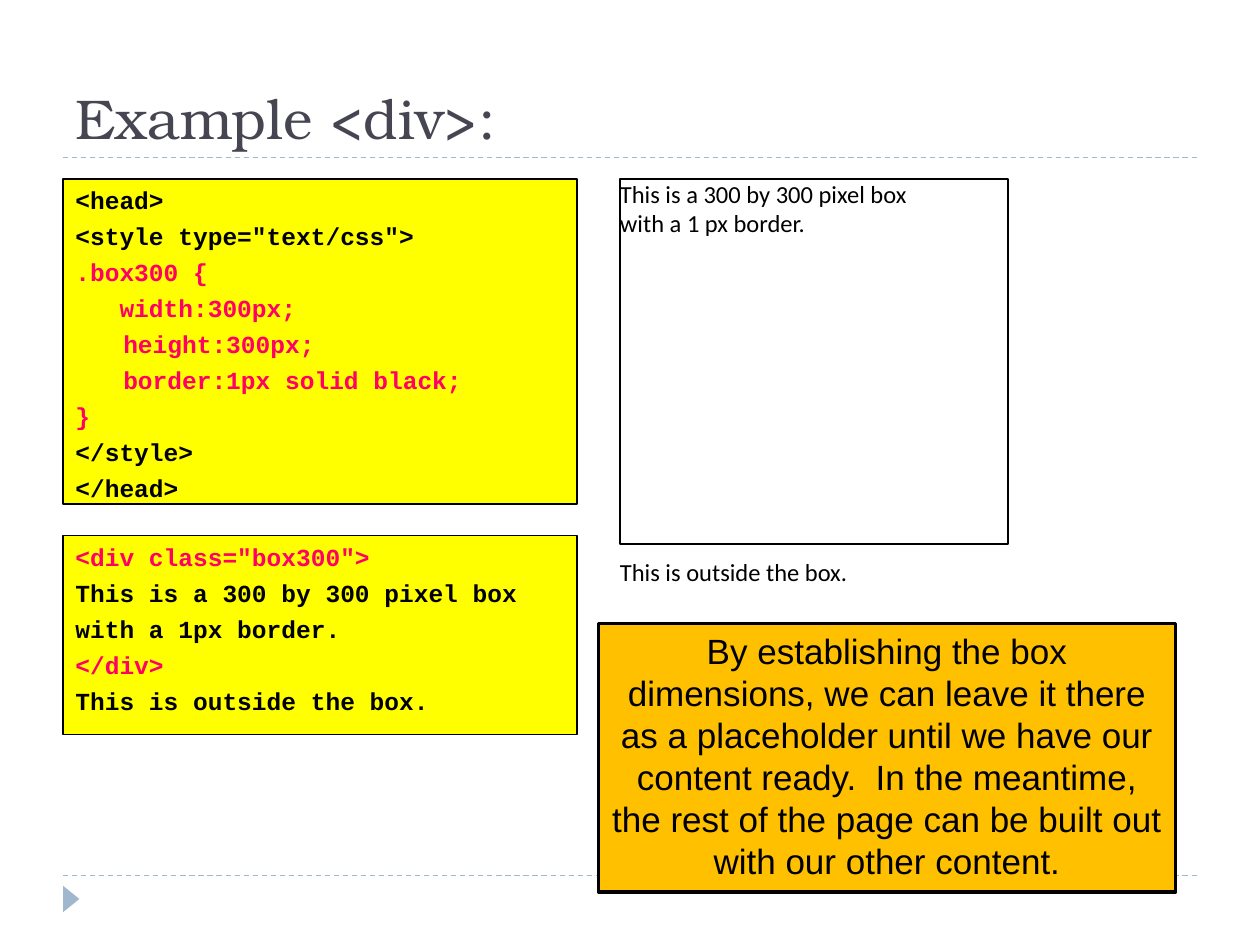
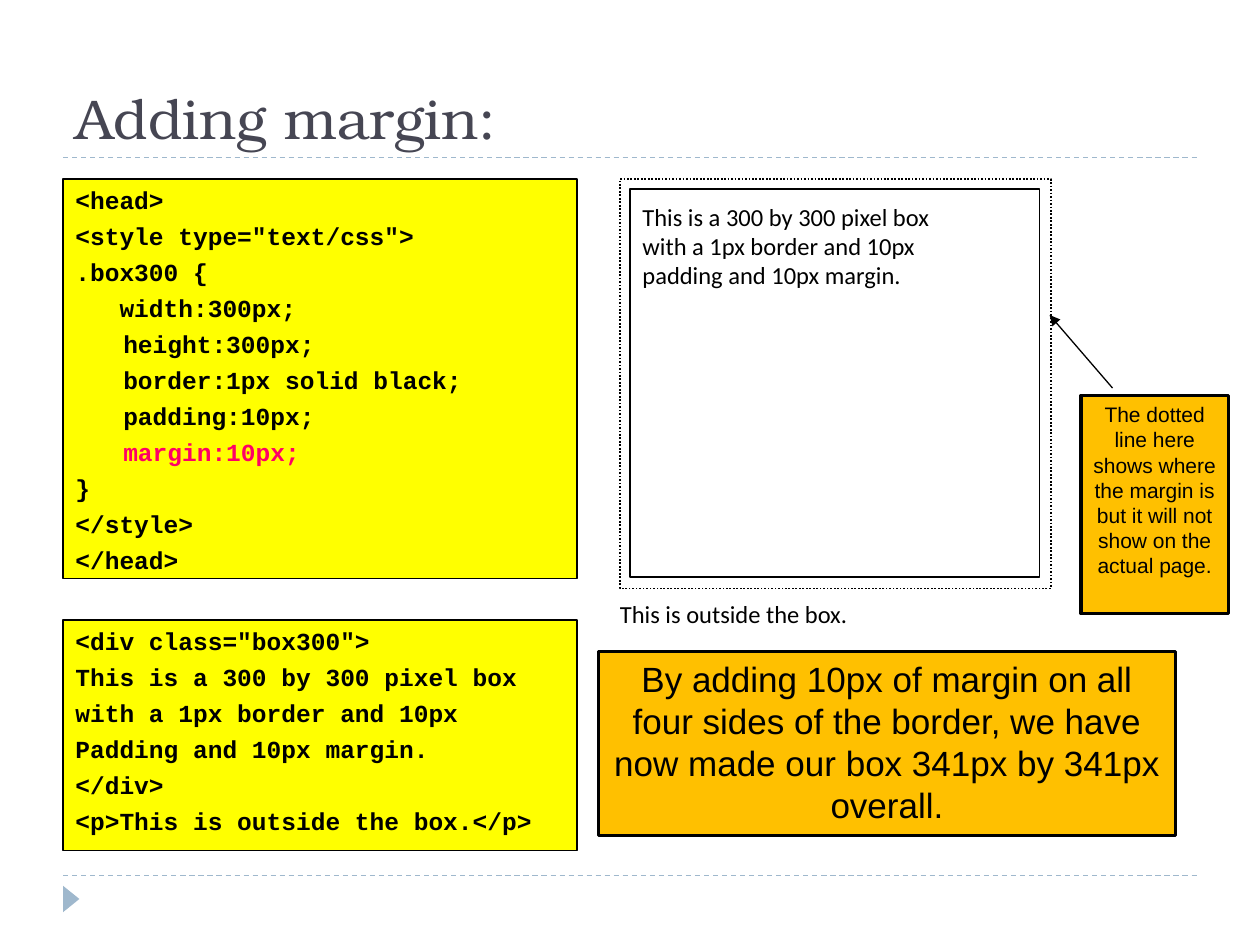
"""Build two slides that explain the CSS box model of a div."""
from lxml import etree
from pptx import Presentation
from pptx import util as u
from pptx.dml.color import RGBColor
from pptx.enum import dml, shapes, text
from pptx.oxml import ns

BLACK = RGBColor(0x00, 0x00, 0x00)
SLATE = RGBColor(0x46, 0x46, 0x53)
BLUE = RGBColor(0x9F, 0xB8, 0xCD)
YELLOW = RGBColor(0xFF, 0xFF, 0x00)
ORANGE = RGBColor(0xFF, 0xC0, 0x00)
PINK = RGBColor(0xFF, 0x00, 0x66)

LEFT, CENTER = text.PP_ALIGN.LEFT, text.PP_ALIGN.CENTER
TITLE_FONT = {"name": "TeX Gyre Bonum", "size": u.Pt(32)}
CODE = {
    "fill": YELLOW, "line": 0.75, "insets": (0.1, 0.05, 0.1, 0.05), "align": LEFT,
    "font": {"name": "Courier New", "size": u.Pt(14), "bold": True},
    "gap": 3.75, "hang": 0.38,
}
NOTE = {
    "fill": ORANGE, "line": 2, "insets": (0.1, 0.05, 0.1, 0.05), "align": CENTER,
    "font": {"name": "Arial", "size": u.Pt(20)},
}
SMALL_NOTE = {**NOTE, "font": {"name": "Arial", "size": u.Pt(12)}}
PAGE_BOX = {
    "line": 1, "insets": (0, 0, 0.1, 0.05), "align": LEFT,
    "font": {"name": "Calibri", "size": u.Pt(14)},
}
PADDED_BOX = {**PAGE_BOX, "insets": (0.1, 0.1, 0.1, 0.05)}
PAGE_TEXT = {**PAGE_BOX, "line": None}
MARGIN_BOX = {**PAGE_BOX, "dash": dml.MSO_LINE.ROUND_DOT}

HEAD_START = [
    "<head>", '<style type="text/css">', ".box300 {", "   width:300px;",
    "\theight:300px;", "\tborder:1px solid black;",
]
HEAD_END = ["}", "</style>", "</head>"]

SLIDES = [
    ("Example <div>:", [
        ((4.75, 4.95, 4.58, 2.13), NOTE, [
            "By establishing the box dimensions, we can leave it there as a "
            "placeholder until we have our content ready.  In the meantime, "
            "the rest of the page can be built out with our other content."], ()),
        ((0.5, 1.42, 4.08, 2.58), CODE, HEAD_START + HEAD_END, range(2, 7)),
        ((0.5, 4.25, 4.08, 1.58), CODE, [
            '<div class="box300">', "This is a 300 by 300 pixel box",
            "with a 1px border.", "</div>", "This is outside the box."], (0, 3)),
        ((4.92, 1.42, 3.08, 2.9), PAGE_BOX, [
            "This is a 300 by 300 pixel box", "with a 1 px border."], ()),
        ((4.92, 4.42, 3.75, 0.28), PAGE_TEXT, ["This is outside the box."], ()),
    ]),
    ("Adding margin:", [
        ((4.75, 5.17, 4.58, 1.46), NOTE, [
            "By adding 10px of margin on all four sides of the border, we have "
            "now made our box 341px by 341px overall."], ()),
        ((0.5, 1.42, 4.08, 3.17), CODE,
         HEAD_START + ["\tpadding:10px;", "\tmargin:10px;"] + HEAD_END, (7,)),
        ((0.5, 4.92, 4.08, 1.83), CODE, [
            '<div class="box300">', "This is a 300 by 300 pixel box",
            "with a 1px border and 10px", "Padding and 10px margin.", "</div>",
            "<p>This is outside the box.</p>"], ()),
        ((5, 1.5, 3.25, 3.08), PADDED_BOX, [
            "This is a 300 by 300 pixel box", "with a 1px border and 10px",
            "padding and 10px margin."], ()),
        ((4.92, 4.75, 3.75, 0.28), PAGE_TEXT, ["This is outside the box."], ()),
        ((4.92, 1.42, 3.42, 3.25), MARGIN_BOX, [], ()),
        ((8.58, 3.14, 1.17, 1.73), SMALL_NOTE, [
            "The dotted line here shows where the margin is but it will not "
            "show on the actual page."], ()),
    ]),
]


def add_rule(slide, start, end, color):
    """Draw a thin straight line without a shadow."""
    rule = slide.shapes.add_connector(
        shapes.MSO_CONNECTOR.STRAIGHT, *map(u.Inches, start + end))
    rule.line.color.rgb = color
    rule.line.width = u.Pt(0.75)
    etree.SubElement(rule.element.spPr, ns.qn("a:effectLst"))
    return rule


def add_panel(slide, frame, style, lines, highlights):
    """Draw a rectangle or text box with one paragraph per line."""
    place = [u.Inches(length) for length in frame]
    if style["line"]:
        panel = slide.shapes.add_shape(shapes.MSO_SHAPE.RECTANGLE, *place)
        panel.shadow.inherit = False
        panel.line.color.rgb = BLACK
        panel.line.width = u.Pt(style["line"])
        if "dash" in style:
            panel.line.dash_style = style["dash"]
        if "fill" in style:
            panel.fill.solid()
            panel.fill.fore_color.rgb = style["fill"]
        else:
            panel.fill.background()
    else:
        panel = slide.shapes.add_textbox(*place)
    body = panel.text_frame
    body.word_wrap = True
    body.vertical_anchor = text.MSO_ANCHOR.TOP
    for side, inset in zip(("left", "top", "right", "bottom"), style["insets"]):
        setattr(body, f"margin_{side}", u.Inches(inset))
    for index, line in enumerate(lines):
        paragraph = body.add_paragraph() if index else body.paragraphs[0]
        paragraph.alignment = style["align"]
        if "hang" in style:
            hang = u.Inches(style["hang"])
            paragraph._p.get_or_add_pPr().set("marL", str(hang))
            paragraph._p.get_or_add_pPr().set("indent", str(-hang))
        if index:
            paragraph.space_before = u.Pt(style.get("gap", 0))
        run = paragraph.add_run()
        run.text = line
        for name, value in style["font"].items():
            setattr(run.font, name, value)
        run.font.color.rgb = PINK if index in highlights else BLACK


deck = Presentation()
deck.slide_width, deck.slide_height = u.Inches(10), u.Inches(7.5)

for heading, panels in SLIDES:
    slide = deck.slides.add_slide(deck.slide_layouts[5])
    for height in (6.95, 1.25):
        add_rule(slide, (0.5, height), (9.5, height), BLUE).line.dash_style = dml.MSO_LINE.DASH
    marker = slide.shapes.add_shape(
        shapes.MSO_SHAPE.ISOSCELES_TRIANGLE, *map(u.Inches, (0.46, 7.07, 0.21, 0.13)))
    marker.rotation = 90
    marker.shadow.inherit = False
    marker.fill.solid()
    marker.fill.fore_color.rgb = BLUE
    marker.line.fill.background()

    title = slide.shapes.title
    title.left, title.top, title.width, title.height = map(u.Inches, (0.5, 0.17, 9, 1.08))
    title.text_frame.text = heading
    title.text_frame.auto_size = text.MSO_AUTO_SIZE.NONE
    title.text_frame.vertical_anchor = text.MSO_ANCHOR.BOTTOM
    title_line = title.text_frame.paragraphs[0]
    title_line.alignment = LEFT
    for name, value in TITLE_FONT.items():
        setattr(title_line.runs[0].font, name, value)
    title_line.runs[0].font.color.rgb = SLATE

    for panel in panels:
        add_panel(slide, *panel)

margin_pointer = add_rule(slide, (8.83, 3.08), (8.33, 2.5), BLACK)
etree.SubElement(margin_pointer.line._get_or_add_ln(), ns.qn("a:tailEnd"), type="triangle")

deck.save("out.pptx")
